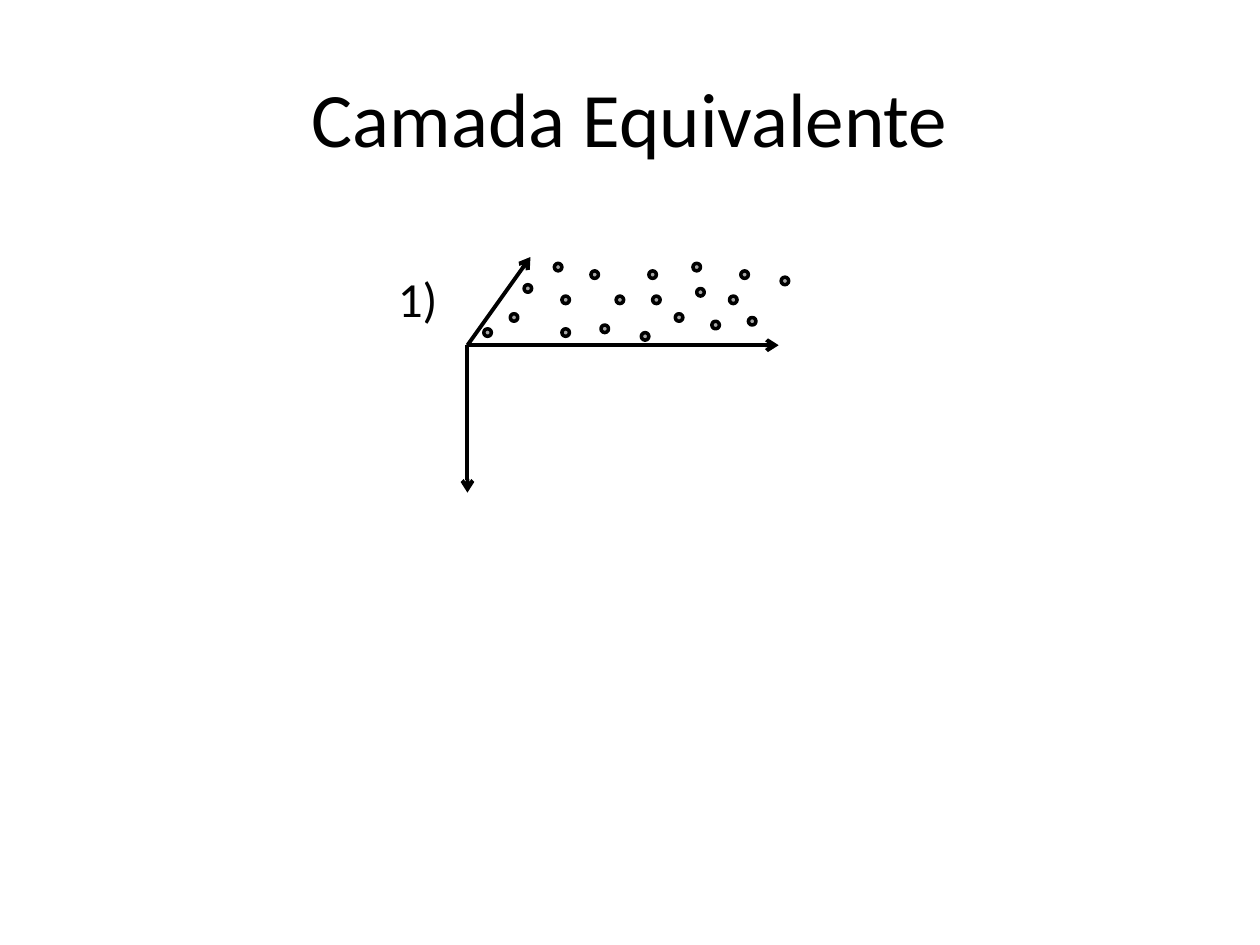
from lxml import etree
from pptx import Presentation
from pptx.dml.color import RGBColor
from pptx.enum.shapes import MSO_CONNECTOR, MSO_SHAPE
from pptx.enum.text import MSO_ANCHOR, PP_ALIGN
from pptx.oxml.ns import qn
from pptx.util import Inches, Pt

BLACK = RGBColor(0x00, 0x00, 0x00)
GRAY = RGBColor(0xA6, 0xA6, 0xA6)
LINE = MSO_CONNECTOR.STRAIGHT
OVAL = MSO_SHAPE.OVAL
MIDDLE = MSO_ANCHOR.MIDDLE
TOP = MSO_ANCHOR.TOP
CENTER = PP_ALIGN.CENTER
LEFT = PP_ALIGN.LEFT

FONT = "Calibri"
DOT = 0.06
ORIGIN = (0, 0.7)
TIPS = [(0, 1.87), (2.47, 0.7), (0.5, 0)]
DOTS = [
    (0.69, 0.05), (0.98, 0.11), (0.75, 0.31), (0.45, 0.22), (0.34, 0.45),
    (0.75, 0.57), (1.18, 0.31), (1.44, 0.11), (1.06, 0.54), (1.47, 0.31),
    (1.38, 0.6), (1.79, 0.05), (1.82, 0.25), (1.65, 0.45), (2.17, 0.11),
    (2.08, 0.31), (1.94, 0.51), (2.23, 0.48), (2.49, 0.16), (0.13, 0.57),
]


def add_text(slide, box, words, size, align, anchor, wrap):
    frame = slide.shapes.add_textbox(*map(Inches, box)).text_frame
    frame.word_wrap = wrap
    frame.vertical_anchor = anchor
    par = frame.paragraphs[0]
    par.alignment = align
    run = par.add_run()
    run.text = words
    run.font.name = FONT
    run.font.size = Pt(size)
    run.font.color.rgb = BLACK


def add_arrow(group, start, end):
    arrow = group.shapes.add_connector(LINE, *map(Inches, start + end))
    arrow.line.color.rgb = BLACK
    arrow.line.width = Pt(2.25)
    tail = etree.SubElement(arrow.line._get_or_add_ln(), qn("a:tailEnd"))
    tail.set("type", "arrow")
    etree.SubElement(arrow._element.spPr, qn("a:effectLst"))


def add_dot(group, left, top):
    dot = group.shapes.add_shape(OVAL, *map(Inches, (left, top, DOT, DOT)))
    dot.shadow.inherit = False
    dot.fill.solid()
    dot.fill.fore_color.rgb = GRAY
    dot.line.color.rgb = BLACK
    dot.line.width = Pt(2)


def add_layer(slide, left, top):
    def place(point):
        return left + point[0], top + point[1]

    group = slide.shapes.add_group_shape()
    for tip in TIPS:
        add_arrow(group, place(ORIGIN), place(tip))
    for spot in DOTS:
        add_dot(group, *place(spot))


def main():
    deck = Presentation()
    deck.slide_width = Inches(10)
    deck.slide_height = Inches(7.5)
    slide = deck.slides.add_slide(deck.slide_layouts[6])
    add_text(slide, (0.5, 0.3, 9, 1.25), "Camada Equivalente", 44,
             CENTER, MIDDLE, True)
    add_layer(slide, 3.71, 2.04)
    add_text(slide, (3.06, 2.08, 0.52, 0.57), "1)", 28, LEFT, TOP, False)
    deck.save("out.pptx")


if __name__ == "__main__":
    main()
